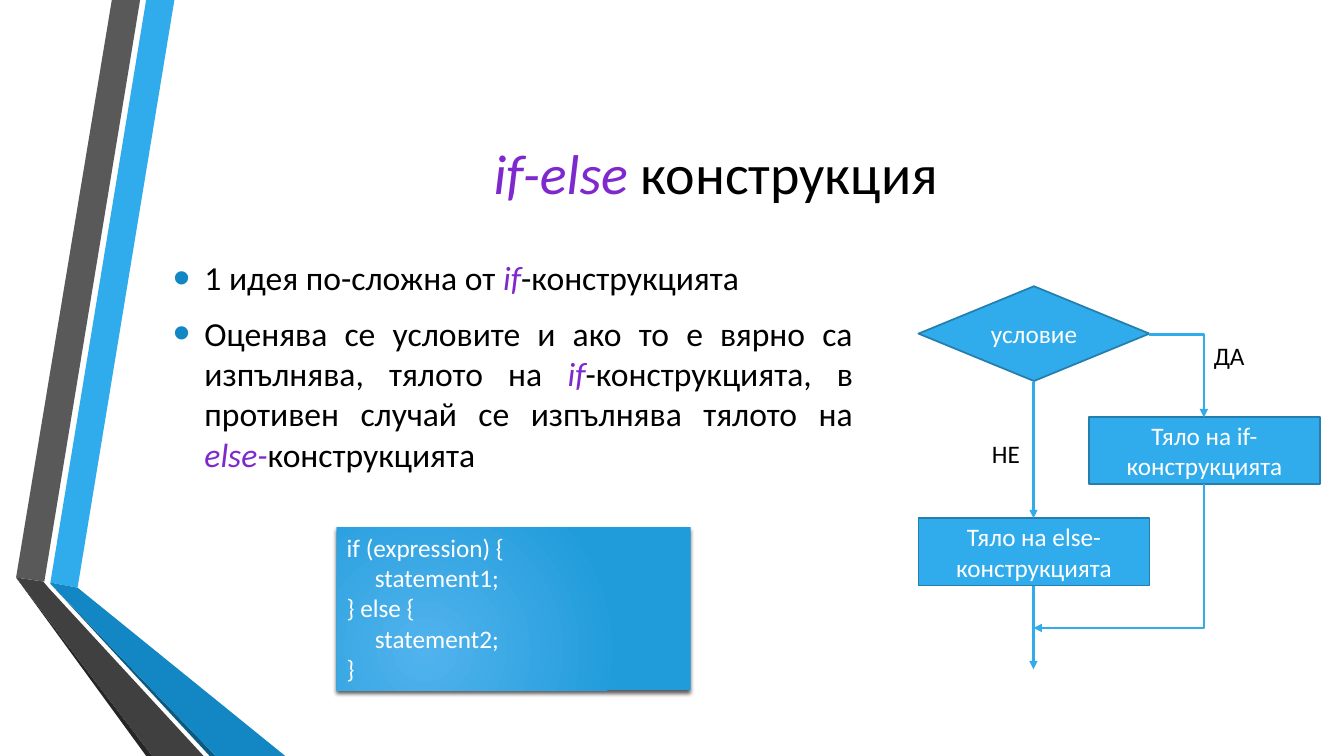
from dataclasses import dataclass

from lxml import etree
from pptx import Presentation
from pptx.dml.color import RGBColor
from pptx.enum.shapes import MSO_CONNECTOR, MSO_SHAPE
from pptx.enum.text import MSO_ANCHOR, PP_ALIGN
from pptx.oxml import parse_xml
from pptx.oxml.ns import qn
from pptx.util import Inches, Pt

RECTANGLE, DECISION = MSO_SHAPE.RECTANGLE, MSO_SHAPE.FLOWCHART_DECISION
STRAIGHT, ELBOW = MSO_CONNECTOR.STRAIGHT, MSO_CONNECTOR.ELBOW
LEFT, CENTER, JUSTIFY = PP_ALIGN.LEFT, PP_ALIGN.CENTER, PP_ALIGN.JUSTIFY
TOP, MIDDLE = MSO_ANCHOR.TOP, MSO_ANCHOR.MIDDLE
NAMESPACE = 'xmlns:a="http://schemas.openxmlformats.org/drawingml/2006/main"'


@dataclass(frozen=True)
class Theme:
    font: str = "Calibri"
    title_size: int = 40
    body_size: int = 24
    small_size: int = 18
    ink: str = "000000"
    light: str = "FFFFFF"
    keyword: str = "7E28CD"
    accent: str = "30ACEC"
    outline: str = "247FAF"
    bullet: str = "1287C3"
    code_center: str = "51B3ED"
    code_edge: str = "219CDB"


THEME = Theme()

RIBBONS = [
    (THEME.accent, [(0.5, 5.78), (0.77, 5.83), (1.73, 0), (1.45, 0)]),
    ("595959", [(1.39, 0), (1.11, 0), (0.16, 5.73), (0.44, 5.77)]),
    ("262626", [(0.16, 5.73), (1.45, 7.5), (1.51, 7.5)]),
    ("0C5A82", [(0.5, 5.79), (2.08, 7.5), (2.14, 7.5)]),
    (THEME.bullet, [(0.5, 5.78), (0.5, 5.79), (2.14, 7.5), (2.83, 7.5), (0.77, 5.83)]),
    ("404040", [(2.02, 7.5), (0.48, 5.83), (0.43, 5.77), (0.16, 5.73), (1.51, 7.5)]),
]

# Keywords stand between asterisks.
TITLE = ["*if-else *конструкция"]
BODY = [
    "1 идея по-сложна от *if*-конструкцията",
    "Оценява се условите и ако то е вярно са изпълнява, тялото на *if*-конструкцията, "
    "в противен случай се изпълнява тялото на *else-*конструкцията",
]
CODE = [("if (expression) {", 0), ("statement1;", 1), ("} else {", 0),
        ("statement2;", 1), ("}", 0)]


class SlideBuilder:
    def __init__(self, page, theme):
        self.page = page
        self.theme = theme

    def style(self, font, size, color):
        font.name = self.theme.font
        font.size = Pt(size)
        font.color.rgb = RGBColor.from_string(color)

    def ribbon(self, color, points):
        vertices = [(Inches(x), Inches(y)) for x, y in points]
        outline = self.page.shapes.build_freeform(*vertices[0], scale=1.0)
        outline.add_line_segments(vertices[1:], close=True)
        shape = outline.convert_to_shape()
        shape.shadow.inherit = False
        shape.fill.solid()
        shape.fill.fore_color.rgb = RGBColor.from_string(color)
        shape.line.fill.background()

    def paragraphs(self, frame, count, anchor):
        frame.word_wrap = True
        frame.vertical_anchor = anchor
        return [frame.paragraphs[0]] + [frame.add_paragraph() for _ in range(count - 1)]

    def text(self, place, lines, size, align=LEFT, anchor=TOP, bullets=False):
        """Add a text box; asterisks in a line switch the keyword style on and off."""
        box = self.page.shapes.add_textbox(*map(Inches, place))
        for para, line in zip(self.paragraphs(box.text_frame, len(lines), anchor), lines):
            para.alignment = align
            if bullets:
                self.bullet(para)
            self.style(para.font, size, self.theme.ink)
            for index, words in enumerate(line.split("*")):
                if words:
                    span = para.add_run()
                    span.text = words
                    if index % 2:
                        span.font.italic = True
                        span.font.color.rgb = RGBColor.from_string(self.theme.keyword)

    def bullet(self, para):
        para.space_before, para.space_after = Pt(4.8), Pt(6)
        settings = para._p.get_or_add_pPr()
        settings.set("marL", str(Inches(0.31)))
        settings.set("indent", str(Inches(-0.31)))
        color = etree.SubElement(settings, qn("a:buClr"))
        etree.SubElement(color, qn("a:srgbClr"), val=self.theme.bullet)
        etree.SubElement(settings, qn("a:buSzPct"), val="145000")
        etree.SubElement(settings, qn("a:buFont"), typeface="Arial")
        etree.SubElement(settings, qn("a:buChar"), char="•")

    def step(self, kind, place, label):
        shape = self.page.shapes.add_shape(kind, *map(Inches, place))
        shape.shadow.inherit = False
        shape.fill.solid()
        shape.fill.fore_color.rgb = RGBColor.from_string(self.theme.accent)
        shape.line.color.rgb = RGBColor.from_string(self.theme.outline)
        shape.line.width = Pt(1.25)
        para = self.paragraphs(shape.text_frame, 1, MIDDLE)[0]
        para.text = label
        para.alignment = CENTER
        self.style(para.font, self.theme.small_size, self.theme.light)

    def arrow(self, start, end, kind=STRAIGHT):
        connector = self.page.shapes.add_connector(kind, *map(Inches, start + end))
        connector.line.color.rgb = RGBColor.from_string(self.theme.accent)
        connector.line.width = Pt(1.75)
        properties = connector._element.spPr
        etree.SubElement(properties.find(qn("a:ln")), qn("a:tailEnd"), type="triangle")
        etree.SubElement(properties, qn("a:effectLst"))
        return properties

    def corner_right_down(self, start, end):
        properties = self.arrow(start, end, ELBOW)
        properties.find(qn("a:prstGeom")).set("prst", "bentConnector2")
        return properties

    def corner_down_left(self, start, end):
        """Draw a right-then-down corner and turn it a quarter about its middle."""
        middle_x, middle_y = (start[0] + end[0]) / 2, (start[1] + end[1]) / 2
        half_width, half_height = (end[1] - start[1]) / 2, (start[0] - end[0]) / 2
        properties = self.corner_right_down(
            (middle_x - half_width, middle_y - half_height),
            (middle_x + half_width, middle_y + half_height))
        properties.find(qn("a:xfrm")).set("rot", "5400000")

    def code(self, place, lines):
        box = self.page.shapes.add_shape(RECTANGLE, *map(Inches, place))
        box.line.fill.background()
        properties = box._element.spPr
        properties.find(qn("a:prstGeom")).addnext(parse_xml(
            f'<a:gradFill {NAMESPACE} rotWithShape="1"><a:gsLst>'
            f'<a:gs pos="0"><a:srgbClr val="{self.theme.code_center}"/></a:gs>'
            f'<a:gs pos="100000"><a:srgbClr val="{self.theme.code_edge}"/></a:gs></a:gsLst>'
            '<a:path path="circle"><a:fillToRect l="50000" t="100000" r="100000" b="50000"/>'
            '</a:path></a:gradFill>'))
        properties.append(parse_xml(
            f'<a:effectLst {NAMESPACE}><a:outerShdw blurRad="{Pt(3)}" dist="{Pt(2)}" '
            f'dir="5400000" rotWithShape="0"><a:srgbClr val="{self.theme.ink}">'
            '<a:alpha val="64000"/></a:srgbClr></a:outerShdw></a:effectLst>'))
        for para, (line, level) in zip(self.paragraphs(box.text_frame, len(lines), TOP), lines):
            para.text = line
            para.alignment = LEFT
            para._p.get_or_add_pPr().set("marL", str(Inches(0.28 * level)))
            self.style(para.font, self.theme.small_size, self.theme.light)


def main():
    deck = Presentation()
    deck.slide_width, deck.slide_height = Inches(13.33), Inches(7.5)
    page = deck.slides.add_slide(deck.slide_layouts[6])
    builder = SlideBuilder(page, THEME)

    for color, points in RIBBONS:
        builder.ribbon(color, points)
    builder.text((1.62, 0.75, 10.96, 1.92), TITLE, THEME.title_size, CENTER, MIDDLE)
    builder.text((1.62, 2.34, 6.94, 2.57), BODY, THEME.body_size, JUSTIFY, MIDDLE, bullets=True)

    builder.step(DECISION, (9.11, 2.84, 2.29, 0.94), "условие")
    builder.step(RECTANGLE, (9.11, 5.14, 2.29, 0.67), "Тяло на else-конструкцията")
    builder.step(RECTANGLE, (10.8, 4.14, 2.29, 0.66), "Тяло на if-конструкцията")

    else_x, if_x = 10.25, 11.94
    builder.corner_right_down((11.4, 3.32), (if_x, 4.14))
    builder.arrow((else_x, 3.79), (else_x, 5.14))
    builder.arrow((else_x, 5.81), (else_x, 6.64))
    builder.corner_down_left((if_x, 4.8), (else_x, 6.23))
    builder.text((if_x, 3.33, 0.6, 0.4), ["ДА"], THEME.small_size)
    builder.text((9.74, 4.3, 0.51, 0.4), ["НЕ"], THEME.small_size)

    builder.code((3.34, 5.23, 3.51, 1.62), CODE)
    deck.save("out.pptx")


if __name__ == "__main__":
    main()
